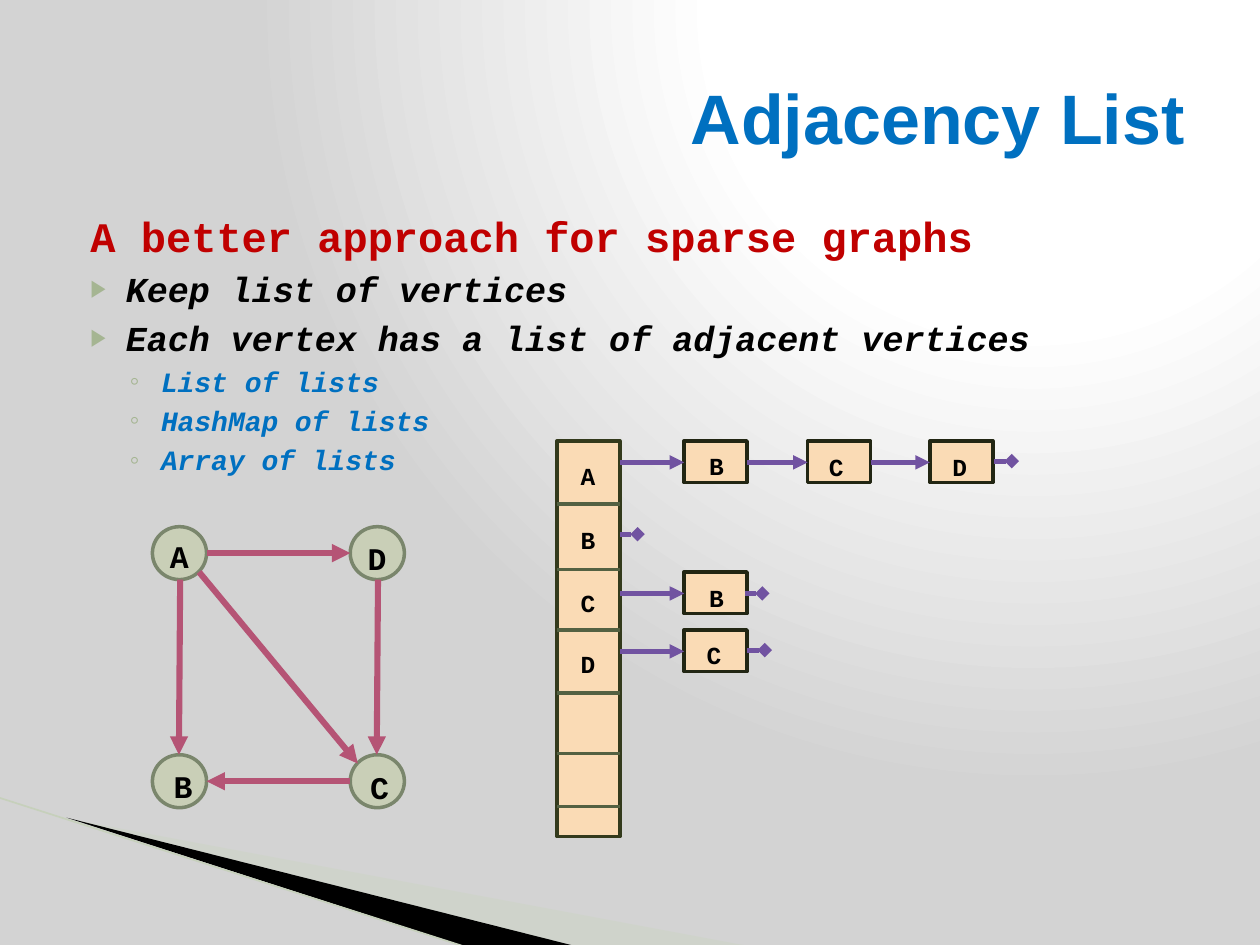
"""Build the Adjacency List slide: a directed graph beside its array of linked lists."""
from typing import NamedTuple, Optional

import pptx
import pptx.dml.color
import pptx.enum.shapes
import pptx.enum.text
import pptx.oxml
import pptx.oxml.ns
import pptx.util
from pptx.dml.color import RGBColor
from pptx.util import Inches

BLACK = RGBColor(0x00, 0x00, 0x00)
BLUE = RGBColor(0x00, 0x70, 0xC0)
RED = RGBColor(0xC0, 0x00, 0x00)
WEDGE_GREEN = RGBColor(0xCB, 0xD4, 0xC0)
RIM_GREEN = RGBColor(0xC6, 0xD0, 0xBB)
VERTEX_FILL = RGBColor(0xBE, 0xCB, 0x95)
VERTEX_RIM = RGBColor(0x7A, 0x86, 0x6C)
EDGE_PINK = RGBColor(0xB5, 0x54, 0x75)
CELL_FILL = RGBColor(0xFA, 0xDB, 0xB5)
ARRAY_RIM = RGBColor(0x33, 0x3A, 0x1C)
DIVIDER = RGBColor(0x53, 0x61, 0x42)
NODE_RIM = RGBColor(0x22, 0x26, 0x13)
LINK_PURPLE = RGBColor(0x71, 0x53, 0xA1)
CODE_FONT = "Courier New"
DRAWING_NS = pptx.oxml.ns.nsdecls("a")


class Point(NamedTuple):
    x: float
    y: float


class Vertex(NamedTuple):
    left: float
    top: float
    label: Point


class Bullet(NamedTuple):
    text: str
    level: int
    size: int
    color: RGBColor
    margin: float
    indent: float
    before: float
    mark: Optional[str] = None
    mark_percent: int = 100


class Node(NamedTuple):
    letter: str
    left: float
    label: Point


class Chain(NamedTuple):
    center: float
    nodes: tuple[Node, ...]
    end: Point


VERTICES = {
    "A": Vertex(1.21, 4.18, Point(1.25, 4.21)),
    "B": Vertex(1.21, 5.99, Point(1.28, 6.04)),
    "C": Vertex(2.78, 5.99, Point(2.84, 6.05)),
    "D": Vertex(2.78, 4.18, Point(2.82, 4.23)),
}
EDGES = (
    (Point(2.78, 6.2), Point(1.64, 6.2)),
    (Point(1.43, 4.6), Point(1.42, 5.99)),
    (Point(3, 4.6), Point(2.99, 5.99)),
    (Point(1.58, 4.54), Point(2.84, 6.06)),
    (Point(1.64, 4.39), Point(2.78, 4.39)),
)
ARRAY_LEFT, ARRAY_RIGHT = 4.42, 4.92
ARRAY_DIVIDERS = (4, 4.52, 5, 5.5, 5.98, 6.4)
ARRAY_LABELS = {"A": 3.61, "B": 4.12, "C": 4.62, "D": 5.1}
NODE_WIDTH, NODE_HEIGHT = 0.5, 0.33
CHAINS = (
    Chain(3.67, (Node("B", 5.43, Point(5.53, 3.53)), Node("C", 6.41, Point(6.48, 3.54)),
                 Node("D", 7.38, Point(7.46, 3.54))), Point(7.89, 3.66)),
    Chain(4.24, (), Point(4.92, 4.24)),
    Chain(4.71, (Node("B", 5.43, Point(5.53, 4.58)),), Point(5.91, 4.71)),
    Chain(5.17, (Node("C", 5.43, Point(5.51, 5.03)),), Point(5.93, 5.16)),
)
BULLETS = (
    Bullet("A better approach for sparse graphs", 0, 24, RED, 0.12, 0, 4),
    *(Bullet(text, 0, 20, BLACK, 0.4, -0.28, 4, "▶", 68)
      for text in ("Keep list of vertices", "Each vertex has a list of adjacent vertices")),
    *(Bullet(text, 1, 16, BLUE, 0.68, -0.25, 3.2, "◦")
      for text in ("List of lists", "HashMap of lists", "Array of lists")),
)


def paint_background(slide) -> None:
    stops = "".join(f'<a:gs pos="{pos}000"><a:srgbClr val="{color}"/></a:gs>'
                    for pos, color in ((0, "FFFFFF"), (40, "FFFFFF"), (100, "D3D3D3")))
    slide.element.cSld.insert(0, pptx.oxml.parse_xml(
        f'<p:bg {pptx.oxml.ns.nsdecls("p", "a")}><p:bgPr><a:gradFill><a:gsLst>{stops}</a:gsLst>'
        '<a:path path="circle"><a:fillToRect l="65000" t="0" r="0" b="98000"/></a:path>'
        '</a:gradFill><a:effectLst/></p:bgPr></p:bg>'))


def set_opacity(shape, percent: int) -> None:
    color = next(shape.element.spPr.iter(pptx.oxml.ns.qn("a:srgbClr")))
    color.append(pptx.oxml.parse_xml(f'<a:alpha {DRAWING_NS} val="{percent}000"/>'))


def draw_wedge(slide, corners: tuple[Point, ...], color: RGBColor):
    start, *rest = [(Inches(x), Inches(y)) for x, y in corners]
    builder = slide.shapes.build_freeform(*start, scale=1.0)
    builder.add_line_segments(rest, close=True)
    wedge = builder.convert_to_shape()
    wedge.shadow.inherit = False
    wedge.fill.solid()
    wedge.fill.fore_color.rgb = color
    wedge.line.fill.background()
    return wedge


def draw_line(slide, start: Point, end: Point, color: RGBColor, width: float,
              head: Optional[str] = None) -> None:
    line = slide.shapes.add_connector(
        pptx.enum.shapes.MSO_CONNECTOR.STRAIGHT, *(Inches(v) for v in (*start, *end)))
    line.line.color.rgb = color
    line.line.width = pptx.util.Pt(width)
    if head:
        line.line._get_or_add_ln().append(
            pptx.oxml.parse_xml(f'<a:tailEnd {DRAWING_NS} type="{head}"/>'))
    line.element.spPr.append(pptx.oxml.parse_xml(f"<a:effectLst {DRAWING_NS}/>"))


def draw_shape(slide, kind, left: float, top: float, width: float, height: float,
               fill: RGBColor, rim: RGBColor):
    shape = slide.shapes.add_shape(kind, *(Inches(v) for v in (left, top, width, height)))
    shape.shadow.inherit = False
    shape.fill.solid()
    shape.fill.fore_color.rgb = fill
    shape.line.color.rgb = rim
    shape.line.width = pptx.util.Pt(2)
    return shape


def format_run(paragraph, font: str, size: int, color: RGBColor, italic: bool = False) -> None:
    style = paragraph.runs[0].font
    style.name, style.size, style.bold, style.italic = font, pptx.util.Pt(size), True, italic
    style.color.rgb = color


def draw_label(slide, letter: str, at: Point, size: int) -> None:
    label = slide.shapes.add_textbox(Inches(at.x), Inches(at.y), Inches(0.37), Inches(0.34))
    label.text_frame.word_wrap = True
    paragraph = label.text_frame.paragraphs[0]
    paragraph.text = letter
    paragraph.space_after = pptx.util.Pt(6)
    format_run(paragraph, CODE_FONT, size, BLACK)


def write_bullets(slide) -> None:
    body = slide.shapes.add_textbox(Inches(0.5), Inches(1.62), Inches(9), Inches(4.95)).text_frame
    body.word_wrap = True
    for index, bullet in enumerate(BULLETS):
        paragraph = body.add_paragraph() if index else body.paragraphs[0]
        paragraph.text = bullet.text
        paragraph.level = bullet.level
        paragraph.space_before = pptx.util.Pt(bullet.before)
        format_run(paragraph, CODE_FONT, bullet.size, bullet.color, bullet.mark is not None)
        properties = paragraph._p.get_or_add_pPr()
        properties.set("marL", str(Inches(bullet.margin)))
        properties.set("indent", str(Inches(bullet.indent)))
        if bullet.mark:
            for tag in ('<a:buClr {}><a:srgbClr val="A5B592"/></a:buClr>',
                        f'<a:buSzPct {{}} val="{bullet.mark_percent}000"/>',
                        '<a:buFont {} typeface="Arial"/>',
                        f'<a:buChar {{}} char="{bullet.mark}"/>'):
                properties.append(pptx.oxml.parse_xml(tag.format(DRAWING_NS)))


def write_title(slide) -> None:
    title = slide.shapes.title
    title.left, title.top, title.width, title.height = (Inches(v) for v in (0.5, 0.3, 9, 1.25))
    title.text_frame.text = "Adjacency List"
    title.text_frame.vertical_anchor = pptx.enum.text.MSO_ANCHOR.MIDDLE
    heading = title.text_frame.paragraphs[0]
    heading.alignment = pptx.enum.text.PP_ALIGN.RIGHT
    format_run(heading, "Arial", 40, BLUE)


def draw_graph(slide) -> None:
    for letter, vertex in VERTICES.items():
        circle = draw_shape(slide, pptx.enum.shapes.MSO_SHAPE.OVAL, vertex.left, vertex.top,
                            0.43, 0.42, VERTEX_FILL, VERTEX_RIM)
        set_opacity(circle, 45)
        draw_label(slide, letter, vertex.label, 18)
    for start, end in EDGES:
        draw_line(slide, start, end, EDGE_PINK, 3.5, "triangle")


def draw_lists(slide) -> None:
    box = pptx.enum.shapes.MSO_SHAPE.RECTANGLE
    draw_shape(slide, box, ARRAY_LEFT, 3.5, NODE_WIDTH, 3.14, CELL_FILL, ARRAY_RIM)
    for y in ARRAY_DIVIDERS:
        draw_line(slide, Point(ARRAY_LEFT, y), Point(ARRAY_RIGHT, y), DIVIDER, 2)
    for letter, top in ARRAY_LABELS.items():
        draw_label(slide, letter, Point(4.51, top), 14)
    for chain in CHAINS:
        link_start = ARRAY_RIGHT
        for node in chain.nodes:
            draw_shape(slide, box, node.left, chain.center - 0.17, NODE_WIDTH, NODE_HEIGHT,
                       CELL_FILL, NODE_RIM)
            draw_line(slide, Point(link_start, chain.center), Point(node.left, chain.center),
                      LINK_PURPLE, 2.75, "triangle")
            draw_label(slide, node.letter, node.label, 14)
            link_start = node.left + NODE_WIDTH
        draw_line(slide, chain.end, Point(chain.end.x + 0.14, chain.end.y),
                  LINK_PURPLE, 2.75, "diamond")


def main() -> None:
    deck = pptx.Presentation()
    deck.slide_width, deck.slide_height = Inches(10), Inches(7.5)
    slide = deck.slides.add_slide(deck.slide_layouts[5])
    paint_background(slide)
    pale_wedge = draw_wedge(slide, (Point(0.55, 6.5), Point(5.95, 7.51), Point(4.56, 7.51)),
                            WEDGE_GREEN)
    set_opacity(pale_wedge, 40)
    draw_wedge(slide, (Point(0.53, 6.49), Point(4.57, 7.51), Point(3.72, 7.52)), BLACK)
    draw_line(slide, Point(-0.01, 6.33), Point(3.71, 7.52), RIM_GREEN, 0.95)
    write_bullets(slide)
    write_title(slide)
    draw_graph(slide)
    draw_lists(slide)
    deck.save("out.pptx")


if __name__ == "__main__":
    main()
